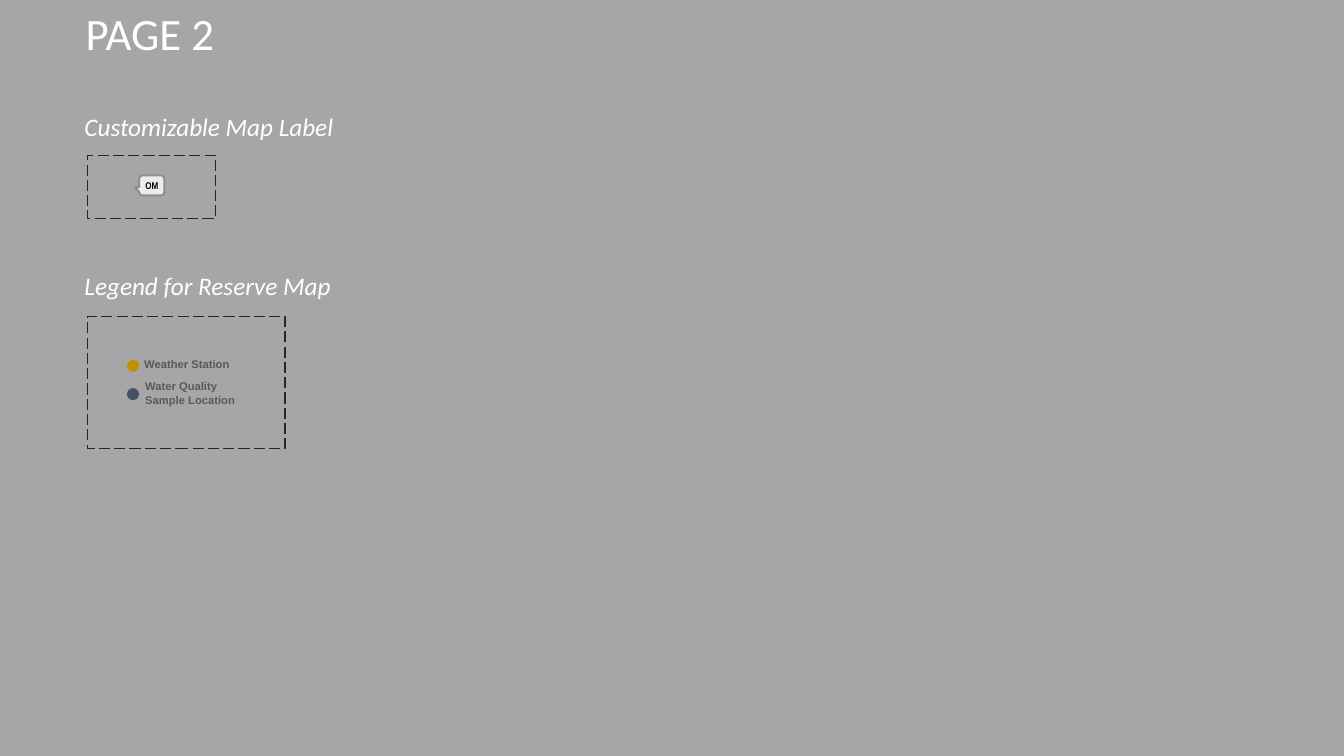
import dataclasses
import typing

import pptx
import pptx.dml.color
import pptx.enum.dml
import pptx.enum.shapes
import pptx.enum.text
import pptx.util

Pt = pptx.util.Pt
RGBColor = pptx.dml.color.RGBColor
MSO_SHAPE = pptx.enum.shapes.MSO_SHAPE
MSO_ANCHOR = pptx.enum.text.MSO_ANCHOR
PP_ALIGN = pptx.enum.text.PP_ALIGN

GREY = RGBColor(0xA6, 0xA6, 0xA6)
WHITE = RGBColor(0xFF, 0xFF, 0xFF)
BLACK = RGBColor(0x00, 0x00, 0x00)
FRAME_LINE = RGBColor(0x26, 0x26, 0x26)
CALLOUT_FILL = RGBColor(0xEC, 0xEC, 0xEC)
CALLOUT_LINE = RGBColor(0x8E, 0x8E, 0x8E)
LEGEND_TEXT = RGBColor(0x59, 0x59, 0x59)
GOLD = RGBColor(0xBF, 0x90, 0x00)
SLATE = RGBColor(0x44, 0x4E, 0x65)

TITLE_FONT = {"name": "Calibri", "size": Pt(32)}
HEADING_FONT = {"name": "Calibri", "size": Pt(18), "italic": True}
CALLOUT_FONT = {"name": "Arial Narrow", "size": Pt(7), "bold": True}
LEGEND_FONT = {"name": "Arial", "size": Pt(8), "bold": True}
HEADING_INSETS = (7.2, 3.6)
LEGEND_INSETS = (0, 3.6)
DOT_LEFT, DOT_SIZE = 90.7, 8.6


@dataclasses.dataclass
class Box:
    """A place on the slide, in points."""
    left: float
    top: float
    width: float
    height: float

    def lengths(self) -> list[int]:
        """Return left, top, width and height as lengths."""
        return [Pt(v) for v in dataclasses.astuple(self)]


@dataclasses.dataclass
class Section:
    """A heading with the dashed frame below it."""
    heading: str
    top: float
    frame: Box


@dataclasses.dataclass
class LegendItem:
    """A coloured dot and its label."""
    text: str
    color: RGBColor
    dot_top: float
    label: Box
    wrap: bool
    spacing: typing.Optional[int] = None


SECTIONS = [
    Section("Customizable Map Label", 76.3, Box(62.6, 110.9, 91.4, 45.4)),
    Section("Legend for Reserve Map", 189.4, Box(62.6, 226.1, 141.1, 94.3)),
]
LEGEND = [
    LegendItem("Weather Station", GOLD, 257, Box(103, 252, 61.9, 17.3), False),
    LegendItem("Water Quality Sample Location", SLATE, 277.2,
               Box(103.7, 267.1, 72, 27.4), True, Pt(10)),
]


def write(sp: typing.Any, text: str, font: dict, color: RGBColor,
          insets: tuple[float, float], anchor: MSO_ANCHOR = MSO_ANCHOR.TOP,
          align: PP_ALIGN = PP_ALIGN.LEFT, wrap: bool = True) -> typing.Any:
    """Write one formatted paragraph in a shape and return it."""
    tf = sp.text_frame
    x, y = (Pt(v) for v in insets)
    frame_format = {"word_wrap": wrap, "vertical_anchor": anchor,
                    "auto_size": pptx.enum.text.MSO_AUTO_SIZE.NONE,
                    "margin_left": x, "margin_right": x,
                    "margin_top": y, "margin_bottom": y}
    for key, value in frame_format.items():
        setattr(tf, key, value)
    p = tf.paragraphs[0]
    p.alignment = align
    r = p.add_run()
    r.text = text
    for key, value in font.items():
        setattr(r.font, key, value)
    r.font.color.rgb = color
    return p


def add_shape(shapes: typing.Any, kind: MSO_SHAPE, box: Box,
              fill: typing.Optional[RGBColor] = None,
              line: typing.Optional[RGBColor] = None,
              weight: float = 1) -> typing.Any:
    """Add a flat preset shape, with fill and line only where given."""
    sp = shapes.add_shape(kind, *box.lengths())
    sp.shadow.inherit = False
    if fill is None:
        sp.fill.background()
    else:
        sp.fill.solid()
        sp.fill.fore_color.rgb = fill
    if line is None:
        sp.line.fill.background()
    else:
        sp.line.color.rgb = line
        sp.line.width = Pt(weight)
    return sp


def add_section(shapes: typing.Any, section: Section) -> None:
    """Add a section heading and its dashed frame."""
    sp = shapes.add_textbox(*Box(53.3, section.top, 264.2, 28.8).lengths())
    write(sp, section.heading, HEADING_FONT, WHITE, HEADING_INSETS)
    frame = add_shape(shapes, MSO_SHAPE.RECTANGLE, section.frame, line=FRAME_LINE)
    frame.line.dash_style = pptx.enum.dml.MSO_LINE.LONG_DASH


def add_callout(shapes: typing.Any) -> None:
    """Add the map label with its pointer to the left."""
    sp = add_shape(shapes, MSO_SHAPE.ROUNDED_RECTANGULAR_CALLOUT,
                   Box(99.4, 125.3, 18, 14.4), CALLOUT_FILL, CALLOUT_LINE, 1.5)
    for i, value in enumerate((-0.67, 0.1, 0.17)):
        sp.adjustments[i] = value
    write(sp, "OM", CALLOUT_FONT, BLACK, (0, 0), MSO_ANCHOR.MIDDLE, PP_ALIGN.CENTER)


def add_legend_item(shapes: typing.Any, item: LegendItem) -> None:
    """Add a legend label and its dot."""
    sp = shapes.add_textbox(*item.label.lengths())
    p = write(sp, item.text, LEGEND_FONT, LEGEND_TEXT, LEGEND_INSETS, wrap=item.wrap)
    p.line_spacing = item.spacing
    add_shape(shapes, MSO_SHAPE.OVAL,
              Box(DOT_LEFT, item.dot_top, DOT_SIZE, DOT_SIZE), item.color)


def main() -> None:
    """Build the slide and save it."""
    prs = pptx.Presentation()
    prs.slide_width, prs.slide_height = Pt(960), Pt(540)
    slide = prs.slides.add_slide(prs.slide_layouts[5])
    slide.background.fill.solid()
    slide.background.fill.fore_color.rgb = GREY

    title = slide.shapes.title
    place = Box(54, 0.7, 248.4, 46.1).lengths()
    for key, value in zip(("left", "top", "width", "height"), place):
        setattr(title, key, value)
    write(title, "PAGE 2", TITLE_FONT, WHITE, HEADING_INSETS)

    for section in SECTIONS:
        add_section(slide.shapes, section)
    add_callout(slide.shapes)
    legend = slide.shapes.add_group_shape()
    for item in LEGEND:
        add_legend_item(legend.shapes, item)
    prs.save("out.pptx")


main()
